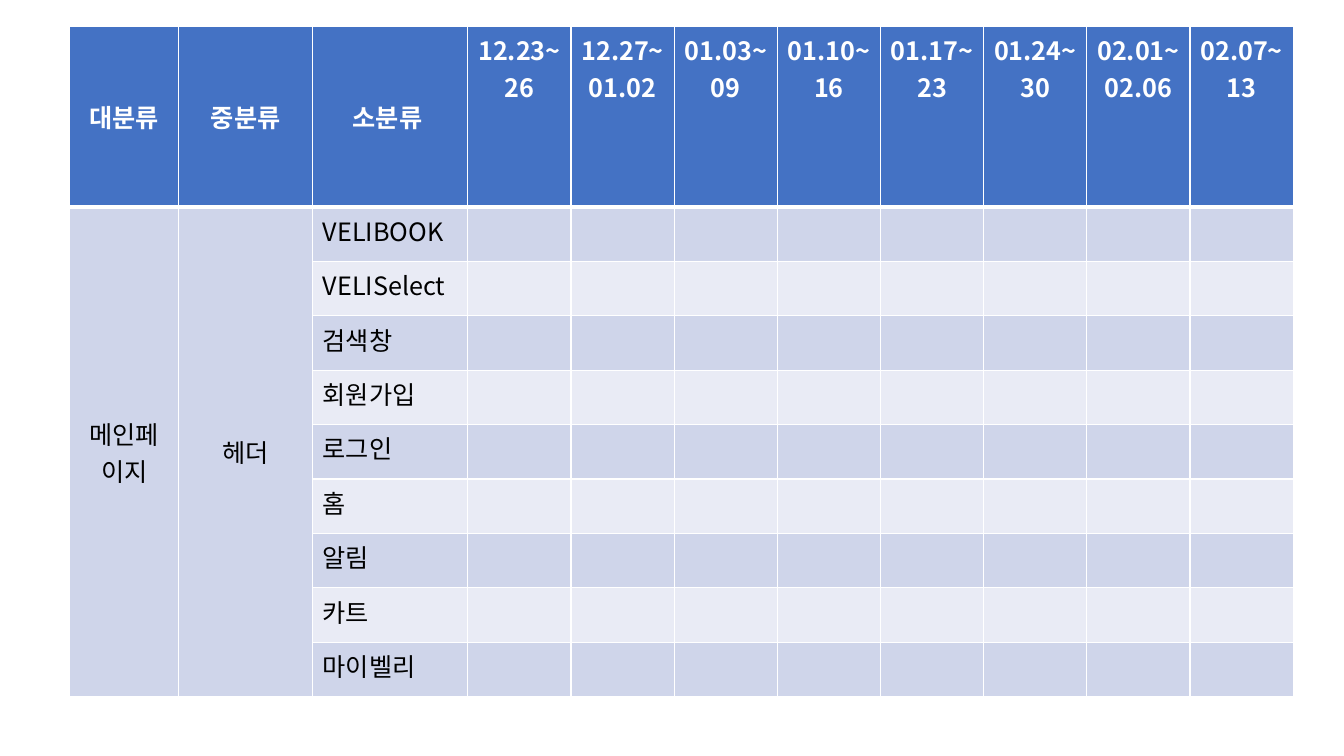
from lxml import etree
from pptx import Presentation
from pptx import util as u
from pptx.dml import color
from pptx.enum import text
from pptx.oxml import ns

# Content
CATEGORY_HEADINGS = ["대분류", "중분류", "소분류\u00a0"]
WEEKS = ["12.23~26", "12.27~01.02", "01.03~09", "01.10~16",
         "01.17~23", "01.24~30", "02.01~02.06", "02.07~13"]
MAIN_CATEGORY, MIDDLE_CATEGORY = "메인페이지", "헤더"
ITEMS = ["VELIBOOK", "VELISelect", "검색창", "회원가입\u00a0", "로그인",
         "홈", "알림", "카트", "마이벨리"]

# Style and measures
COLORS = {"header": "4472C4", "odd": "CFD5EA", "even": "E9EBF5",
          "white": "FFFFFF", "black": "000000"}
FONT = "Noto Sans CJK KR"
CATEGORY_WIDTHS, WEEK_WIDTH = [2.74, 3.38, 3.91], 2.6
HEADER_HEIGHT, ITEM_HEIGHT = 4.55, 1.37
THIN, THICK = 1, 3


def set_borders(cell, top, bottom):
    properties = cell._tc.get_or_add_tcPr()
    sides = [("lnL", THIN), ("lnR", THIN), ("lnT", top), ("lnB", bottom)]
    for position, (side, width) in enumerate(sides):
        line = etree.Element(ns.qn("a:" + side), w=str(u.Pt(width)))
        fill = etree.SubElement(line, ns.qn("a:solidFill"))
        etree.SubElement(fill, ns.qn("a:srgbClr"), val=COLORS["white"])
        properties.insert(position, line)


def write(cell, words, ink="black", bold=False, centered=False, middle=False):
    if middle:
        cell.vertical_anchor = text.MSO_ANCHOR.MIDDLE
    paragraph = cell.text_frame.paragraphs[0]
    if centered:
        paragraph.alignment = text.PP_ALIGN.CENTER
    run = paragraph.add_run()
    run.text = words
    run.font.size = u.Pt(18)
    run.font.bold = bold
    run.font.color.rgb = color.RGBColor.from_string(COLORS[ink])
    run.font.name = FONT
    etree.SubElement(run._r.get_or_add_rPr(), ns.qn("a:ea"), typeface=FONT)


presentation = Presentation()
presentation.slide_width, presentation.slide_height = u.Cm(33.87), u.Cm(19.05)
slide = presentation.slides.add_slide(presentation.slide_layouts[6])

# Table grid
headings = CATEGORY_HEADINGS + WEEKS
widths = CATEGORY_WIDTHS + [WEEK_WIDTH] * len(WEEKS)
heights = [HEADER_HEIGHT] + [ITEM_HEIGHT] * len(ITEMS)
table = slide.shapes.add_table(len(heights), len(widths), u.Cm(1.76), u.Cm(0.67),
                               u.Cm(sum(widths)), u.Cm(sum(heights))).table
for column, width in zip(table.columns, widths):
    column.width = u.Cm(width)
for row, height in zip(table.rows, heights):
    row.height = u.Cm(height)

# Banded fills and white rules
for row_index, row in enumerate(table.rows):
    band = "header" if row_index == 0 else "odd" if row_index % 2 else "even"
    for column_index, cell in enumerate(row.cells):
        merged = row_index > 0 and column_index < 2
        cell.fill.solid()
        cell.fill.fore_color.rgb = color.RGBColor.from_string(
            COLORS["odd" if merged else band])
        set_borders(cell, THICK if row_index == 1 else THIN,
                    THICK if row_index == 0 else THIN)

# Headings
for column_index, heading in enumerate(headings):
    write(table.cell(0, column_index), heading, "white", bold=True, centered=True,
          middle=column_index < len(CATEGORY_HEADINGS))

# Merged categories and their items
for column_index, category in enumerate([MAIN_CATEGORY, MIDDLE_CATEGORY]):
    cell = table.cell(1, column_index)
    cell.merge(table.cell(len(ITEMS), column_index))
    write(cell, category, centered=True, middle=True)
for row_index, item in enumerate(ITEMS, 1):
    write(table.cell(row_index, 2), item)

presentation.save("out.pptx")
